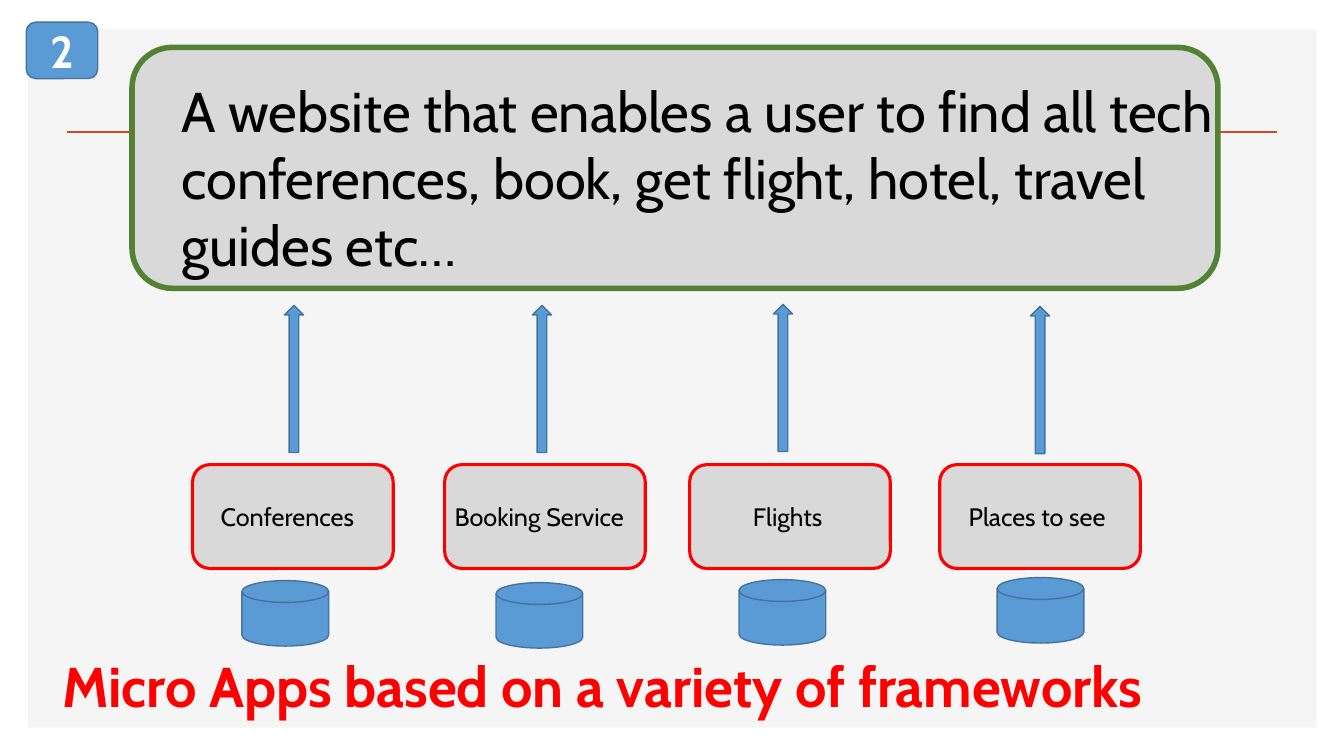
from pptx import Presentation
from pptx.dml.color import RGBColor
from pptx.enum.shapes import MSO_CONNECTOR, MSO_SHAPE as SHAPE
from pptx.enum.text import MSO_ANCHOR, PP_ALIGN as ALIGN
from pptx.oxml.ns import qn
from pptx.util import Inches, Pt
from lxml.etree import SubElement

COLUMNS, ROWS = 13.33, 7.5
CELL = Inches(1)
FONT = "Cabin"
BLUE, BLUE_EDGE, GREY, RED = "5B9BD5", "43739E", "D9D9D9", "FF0000"

GOAL = "A website that enables a user to find all tech conferences, book, get flight, hotel, travel guides etc…"
SUMMARY = "Micro Apps based on a variety of frameworks"
STEP = "2"

CARD_TOP, CARD_SIZE = 4.61, (1.99, 1.03)
LABEL_TOP, LABEL_HEIGHT = 4.92, 0.4
ARROW_SIZE, DISK_SIZE = (0.19, 1.46), (0.86, 0.65)
SERVICES = [
    {"name": "Conferences", "card": 1.91, "label": (2.09, 1.63), "arrow": (2.82, 3.03), "disk": (2.4, 5.76)},
    {"name": "Booking Service", "card": 4.41, "label": (4.41, 1.99), "arrow": (5.28, 3.03), "disk": (4.92, 5.78)},
    {"name": "Flights", "card": 6.84, "label": (7.37, 0.97), "arrow": (7.67, 3.02), "disk": (7.33, 5.75)},
    {"name": "Places to see", "card": 9.32, "label": (9.51, 1.63), "arrow": (10.22, 3.04), "disk": (9.89, 5.73)},
]


def color(value):
    return RGBColor.from_string(value)


def grid(*cells):
    return [round(cell * CELL) for cell in cells]


def add_block(slide, kind, box, fill, edge=None, width=1):
    shape = slide.shapes.add_shape(kind, *grid(*box))
    shape.shadow.inherit = False
    shape.fill.solid()
    shape.fill.fore_color.rgb = color(fill)
    if edge:
        shape.line.color.rgb = color(edge)
        shape.line.width = Pt(width)
    else:
        shape.line.fill.background()
    return shape


def write(shape, text, size, ink, bold=False, align=ALIGN.LEFT):
    shape.text_frame.word_wrap = True
    paragraph = shape.text_frame.paragraphs[0]
    paragraph.alignment = align
    run = paragraph.add_run()
    run.text = text
    run.font.name = FONT
    run.font.size = Pt(size)
    run.font.bold = bold
    run.font.color.rgb = color(ink)


def add_text(slide, box, *style):
    write(slide.shapes.add_textbox(*grid(*box)), *style)


def add_rule(slide, ends):
    rule = slide.shapes.add_connector(MSO_CONNECTOR.STRAIGHT, *grid(*ends))
    rule.line.color.rgb = color("D24726")
    rule.line.width = Pt(2)
    SubElement(rule._element.spPr, qn("a:effectLst"))


def add_service(slide, service):
    add_block(slide, SHAPE.ROUNDED_RECTANGLE, (service["card"], CARD_TOP, *CARD_SIZE), GREY, RED, 2.25)
    left, width = service["label"]
    add_text(slide, (left, LABEL_TOP, width, LABEL_HEIGHT), service["name"], 18, "000000")
    add_block(slide, SHAPE.UP_ARROW, (*service["arrow"], *ARROW_SIZE), BLUE, BLUE_EDGE)
    add_block(slide, SHAPE.FLOWCHART_MAGNETIC_DISK, (*service["disk"], *DISK_SIZE), BLUE, BLUE_EDGE)


def main():
    """Build the slide of a website composed of micro apps."""
    presentation = Presentation()
    presentation.slide_width, presentation.slide_height = grid(COLUMNS, ROWS)
    slide = presentation.slides.add_slide(presentation.slide_layouts[6])

    add_block(slide, SHAPE.RECTANGLE, (0.28, 0.29, 12.78, 6.93), "F5F5F5")
    add_rule(slide, (0.66, 1.31, 12.67, 1.31))
    add_block(slide, SHAPE.ROUNDED_RECTANGLE, (1.31, 0.47, 10.77, 2.39), GREY, "548235", 4)
    add_text(slide, (1.7, 0.71, 10.61, 2.12), GOAL, 40, "000000")
    for service in SERVICES:
        add_service(slide, service)
    add_text(slide, (0.52, 6.41, 12.28, 0.77), SUMMARY, 40, RED, True)

    badge = add_block(slide, SHAPE.ROUNDED_RECTANGLE, (0.26, 0.22, 0.71, 0.56), BLUE, BLUE_EDGE)
    badge.text_frame.vertical_anchor = MSO_ANCHOR.MIDDLE
    write(badge, STEP, 32, "FFFFFF", True, ALIGN.CENTER)

    presentation.save("out.pptx")


if __name__ == "__main__":
    main()
